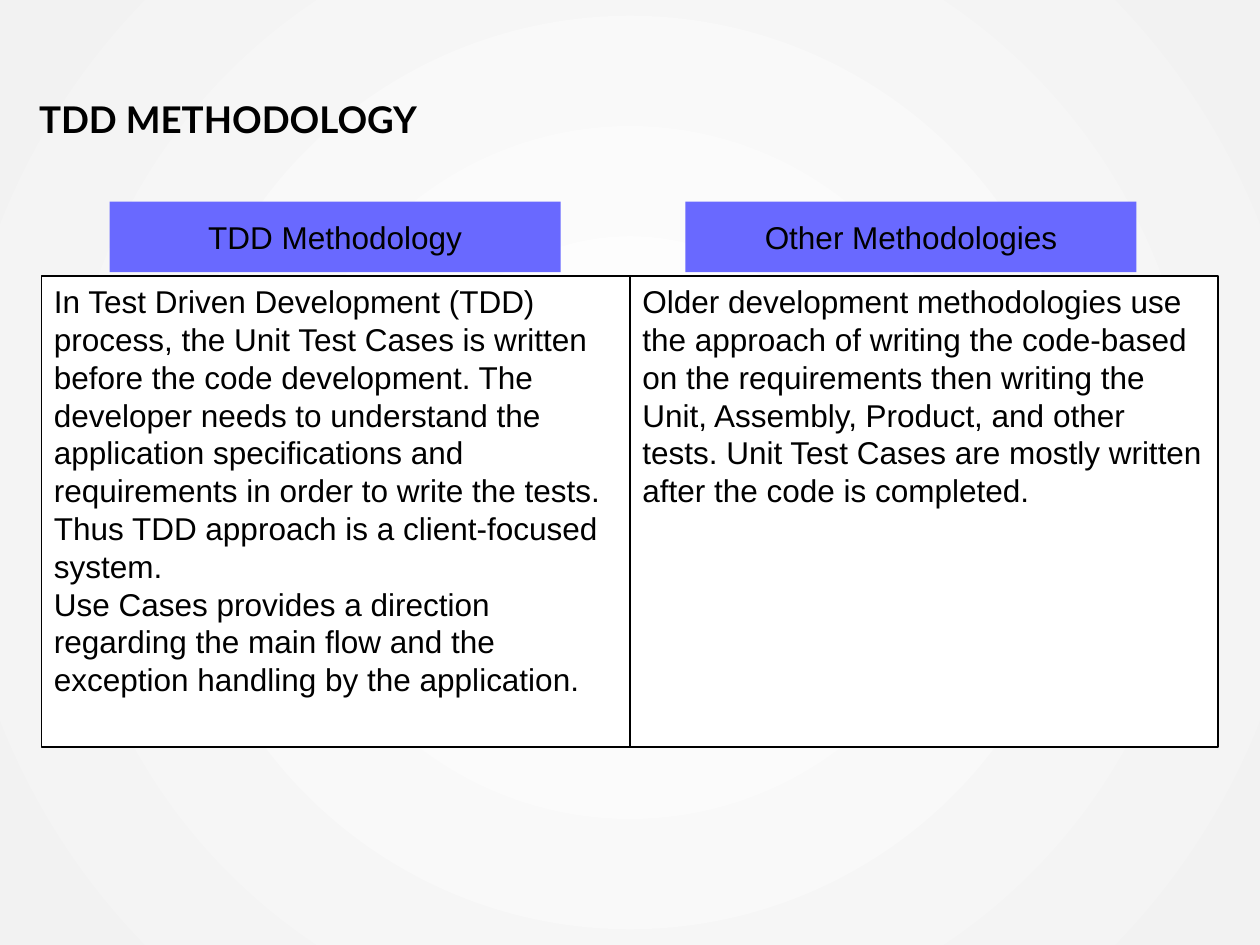
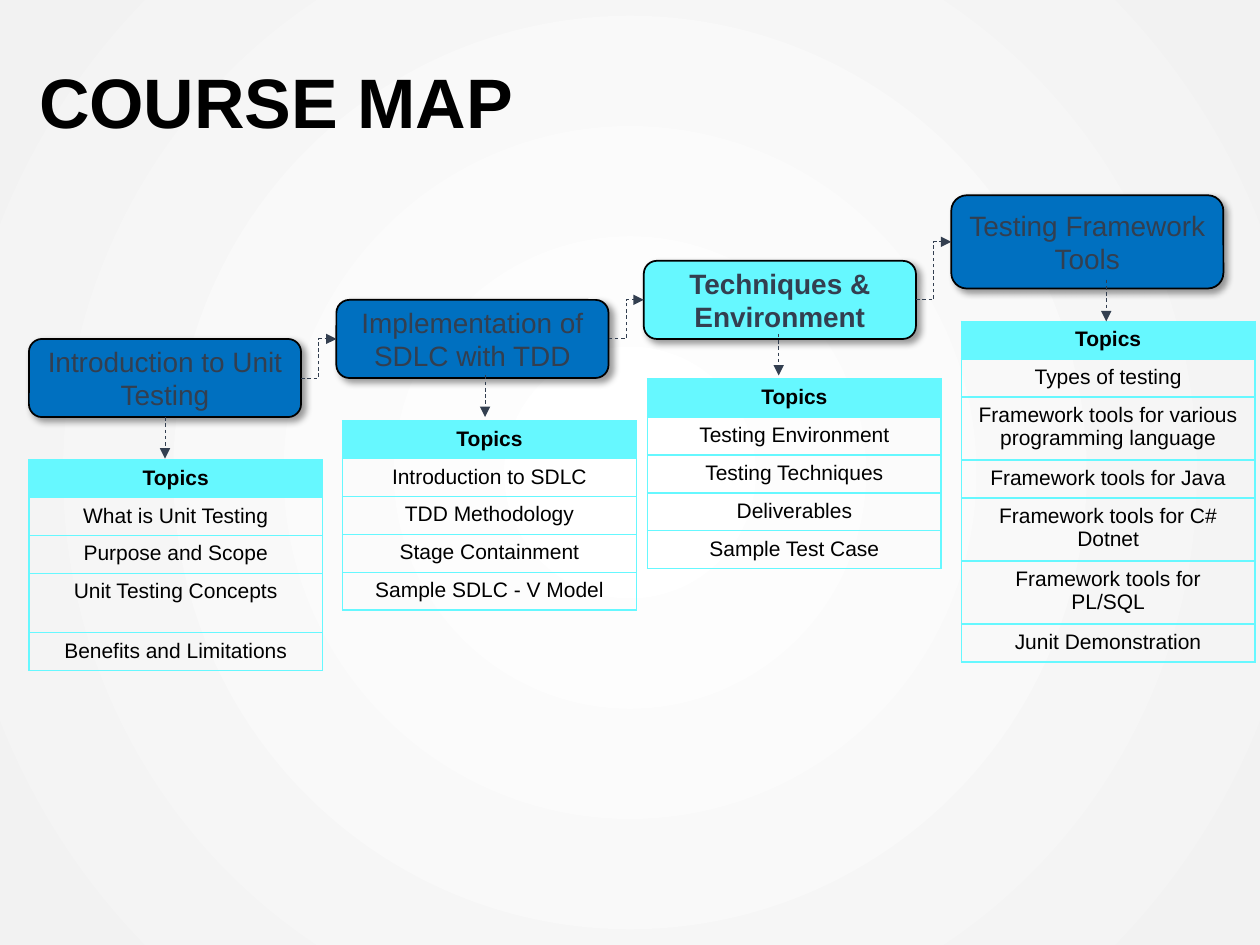
from lxml import etree
from pptx import Presentation
from pptx import util as u
from pptx.dml import color
from pptx.enum import dml, shapes, text
from pptx.oxml import ns, parse_xml

INK, SLATE = "000000", "333F50"
BLUE, CYAN, VIOLET = "0070C0", "66F8FF", "6969FF"
MID, LEFT = text.PP_ALIGN.CENTER, text.PP_ALIGN.LEFT
NS = ns.nsdecls("a")


def rgb(code):
    return color.RGBColor.from_string(code)


def put(frame, paras, size, hue=INK, bold=False, align=MID, face="Arial"):
    frame.word_wrap = True
    for i, line in enumerate(paras):
        para = frame.add_paragraph() if i else frame.paragraphs[0]
        para.alignment = align
        for j, part in enumerate(line.split("|")):
            if j:
                para.add_line_break()
            run = para.add_run()
            run.text = part
            run.font.name, run.font.size = face, u.Pt(size)
            run.font.bold, run.font.color.rgb = bold, rgb(hue)


deck = Presentation()
deck.slide_width, deck.slide_height = u.Inches(10), u.Inches(7.5)

fill = deck.slide_master.background.fill
fill.gradient()
for stop, pos, hue in zip(fill.gradient_stops, (0.02, 1), ("FFFFFF", "F2F2F2")):
    stop.position, stop.color.rgb = pos, rgb(hue)
lin = deck.slide_master.element.xpath(".//p:bgPr/a:gradFill/a:lin")[0]
lin.getparent().replace(lin, parse_xml(
    f'<a:path {NS} path="circle">'
    '<a:fillToRect l="50000" t="50000" r="50000" b="50000"/></a:path>'))

pages = []
for name, size, face in (("TDD METHODOLOGY", 21, "Lato"), ("COURSE MAP", 40, "Arial")):
    page = deck.slides.add_slide(deck.slide_layouts[6])
    box = page.shapes.add_textbox(u.Inches(0.31), 0, u.Inches(9.38), u.Inches(1.11))
    frame = box.text_frame
    frame.margin_left = frame.margin_right = frame.margin_bottom = 0
    frame.vertical_anchor = text.MSO_ANCHOR.BOTTOM
    put(frame, [name], size, bold=True, align=LEFT, face=face)
    frame.paragraphs[0].line_spacing = 0.7
    pages.append(page)
duel, course = pages

sides = (
    (0.33, 0.87, "TDD Methodology", [
        "In Test Driven Development (TDD) process, the Unit Test Cases is written before "
        "the code development. The developer needs to understand the application "
        "specifications and requirements in order to write the tests. Thus TDD approach "
        "is a client-focused system.",
        "Use Cases provides a direction regarding the main flow and the exception "
        "handling by the application."]),
    (5, 5.44, "Other Methodologies", [
        "Older development methodologies use the approach of writing the code-based on "
        "the requirements then writing the Unit, Assembly, Product, and other tests. "
        "Unit Test Cases are mostly written after the code is completed."]),
)
for left, inset, head, body in sides:
    panel = duel.shapes.add_shape(shapes.MSO_SHAPE.RECTANGLE, u.Inches(left),
                                  u.Inches(2.19), u.Inches(4.67), u.Inches(3.74))
    panel.shadow.inherit = False
    panel.fill.solid()
    panel.fill.fore_color.rgb = rgb("FFFFFF")
    panel.line.color.rgb, panel.line.width = rgb(INK), u.Pt(1)
    panel.text_frame.vertical_anchor = text.MSO_ANCHOR.TOP
    put(panel.text_frame, body, 18, align=LEFT)
    label = duel.shapes.add_shape(shapes.MSO_SHAPE.RECTANGLE, u.Inches(inset),
                                  u.Inches(1.6), u.Inches(3.58), u.Inches(0.56))
    label.shadow.inherit = False
    label.fill.solid()
    label.fill.fore_color.rgb = rgb(VIOLET)
    label.line.fill.background()
    label.text_frame.vertical_anchor = text.MSO_ANCHOR.MIDDLE
    put(label.text_frame, [head], 18)

ROW, TALL = 0.3, 0.47
steps = (
    ("Introduction to Unit Testing", 2.69, 0.62, 0.23, 3.65, 1.31, 3.31, (3,),
     ("What is Unit Testing", "Purpose and Scope", "Unit Testing Concepts",
      "Benefits and Limitations")),
    ("Implementation of SDLC with TDD", 2.38, 0.62, 2.72, 3.34, 3.85, 2.98, (),
     ("Introduction to SDLC", "TDD Methodology", "Stage Containment",
      "Sample SDLC - V Model")),
    ("Techniques & Environment", 2.07, 0.62, 5.14, 3.01, 6.18, 2.65, (),
     ("Testing Environment", "Testing Techniques", "Deliverables", "Sample Test Case")),
    ("Testing Framework Tools", 1.55, 0.74, 7.63, 2.55, 8.78, 2.22, (2, 4, 5),
     ("Types of testing", "Framework tools for various programming language",
      "Framework tools for Java", "Framework tools for C# Dotnet",
      "Framework tools for|PL/SQL", "Junit Demonstration")),
)
links, last = [], None
for i, (name, top, high, left, start, mid, tip, tall, topics) in enumerate(steps):
    now = name.startswith("Techniques")
    box = course.shapes.add_shape(shapes.MSO_SHAPE.ROUNDED_RECTANGLE,
                                  u.Inches(0.23 + 2.44 * i), u.Inches(top),
                                  u.Inches(2.16), u.Inches(high))
    box.shadow.inherit = False
    glow = box.element.spPr.find(ns.qn("a:effectLst"))
    glow.append(parse_xml(
        f'<a:outerShdw {NS} blurRad="50800" dist="38100" dir="2700000" algn="tl" '
        'rotWithShape="0"><a:srgbClr val="000000"><a:alpha val="40000"/>'
        '</a:srgbClr></a:outerShdw>'))
    box.fill.solid()
    box.fill.fore_color.rgb = rgb(CYAN if now else BLUE)
    box.line.color.rgb, box.line.width = rgb(INK), u.Pt(1)
    box.text_frame.vertical_anchor = text.MSO_ANCHOR.MIDDLE
    put(box.text_frame, [name], 16, SLATE, now)

    if last is not None:
        bend = course.shapes.add_connector(shapes.MSO_CONNECTOR.ELBOW, 0, 0, 0, 0)
        bend.begin_connect(last, 3)
        bend.end_connect(box, 1)
        links.append(bend)
    last = box

    rows = ("Topics",) + topics
    sizes = [TALL if n in tall else ROW for n in range(len(rows))]
    grid = course.shapes.add_table(len(rows), 1, u.Inches(left), u.Inches(start),
                                   u.Inches(2.33), u.Inches(sum(sizes))).table
    grid.first_row = grid.horz_banding = False
    for n, topic in enumerate(rows):
        grid.rows[n].height = u.Inches(sizes[n])
        cell = grid.cell(n, 0)
        props = cell._tc.get_or_add_tcPr()
        for edge in ("lnL", "lnR", "lnT", "lnB"):
            props.append(parse_xml(
                f'<a:{edge} {NS} w="12700"><a:solidFill><a:srgbClr val="{CYAN}"/>'
                f'</a:solidFill></a:{edge}>'))
        if n:
            cell.fill.background()
        else:
            cell.fill.solid()
            cell.fill.fore_color.rgb = rgb(CYAN)
        put(cell.text_frame, [topic], 12, bold=n == 0)

    drop = course.shapes.add_connector(shapes.MSO_CONNECTOR.STRAIGHT, u.Inches(mid),
                                       u.Inches(tip), u.Inches(mid), u.Inches(tip + 0.33))
    if i == 0:
        drop.begin_connect(box, 2)
    links.append(drop)

for link in links:
    link.line.color.rgb, link.line.width = rgb(SLATE), u.Pt(0.5)
    link.line.dash_style = dml.MSO_LINE.DASH
    etree.SubElement(link.line._get_or_add_ln(), ns.qn("a:tailEnd"), type="triangle")
    etree.SubElement(link.element.spPr, ns.qn("a:effectLst"))

deck.save("out.pptx")
